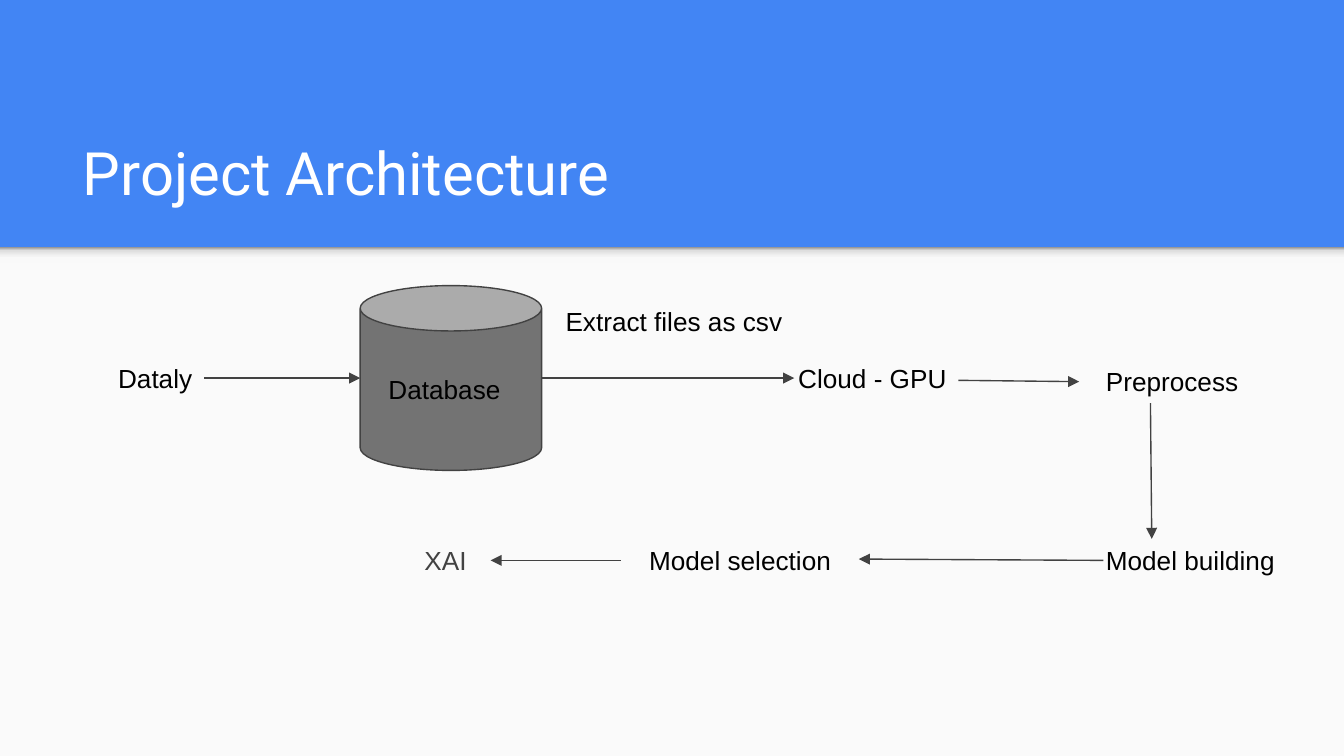
from lxml.etree import SubElement
from pptx import Presentation
from pptx.dml.color import RGBColor
from pptx.enum.shapes import MSO_CONNECTOR, MSO_SHAPE
from pptx.enum.text import MSO_ANCHOR, PP_ALIGN
from pptx.oxml.ns import qn
from pptx.util import Inches, Pt

COLS, ROWS = 100, 56.25
BLUE, PAPER, GREY, DARK = "4285F4", "FAFAFA", "737373", "424242"
BLACK, WHITE = "000000", "FFFFFF"
SHADE = [(0, "F9F9F9"), (36, "F9F9F9"), (80, "DEDEDE"), (100, "999999")]
FLOW_ROW, BUILD_ROW, LABEL_H = 25.93, 39.5, 4.4
INDENT = 2.1


def grid(n):
    """Turn grid columns or rows into a length."""
    return Inches(n / 10)


def rgb(value):
    """Turn a hex string into a colour."""
    return RGBColor.from_string(value)


def apply(obj, values):
    """Set each named attribute of an object."""
    for name, value in values.items():
        setattr(obj, name, value)


def write(sp, text, color=BLACK, size=14, font="Arial",
          anchor=MSO_ANCHOR.TOP, indent=1):
    """Put one formatted left-aligned paragraph in a shape."""
    tf = sp.text_frame
    apply(tf, {"word_wrap": True, "vertical_anchor": anchor,
               "margin_left": grid(indent), "margin_right": grid(1),
               "margin_top": grid(1), "margin_bottom": grid(1)})
    p = tf.paragraphs[0]
    p.alignment = PP_ALIGN.LEFT
    r = p.add_run()
    r.text = text
    apply(r.font, {"name": font, "size": Pt(size), "bold": False})
    r.font.color.rgb = rgb(color)


def shape(s, kind, box, fill, line=None):
    """Add a flat preset shape."""
    sp = s.shapes.add_shape(kind, *map(grid, box))
    sp.shadow.inherit = False
    sp.fill.solid()
    sp.fill.fore_color.rgb = rgb(fill)
    if line:
        sp.line.color.rgb = rgb(line)
        sp.line.width = Pt(0.75)
    else:
        sp.line.fill.background()
    return sp


def shade(sp, stops):
    """Fill a shape with a gradient that rises from the bottom."""
    sp.fill.gradient()
    sp.fill.gradient_angle = 90
    gs_list = sp._element.spPr.find(".//" + qn("a:gsLst"))
    for gs in list(gs_list):
        gs_list.remove(gs)
    for pos, color in stops:
        gs = SubElement(gs_list, qn("a:gs"), pos=str(pos * 1000))
        SubElement(gs, qn("a:srgbClr"), val=color)


def label(s, text, x, y, w, **style):
    """Add a one-line text label."""
    sp = s.shapes.add_textbox(*map(grid, (x, y, w, LABEL_H)))
    write(sp, text, **style)
    return sp


def arrow(s, x1, y1, x2, y2):
    """Add a thin arrow that points at its second end."""
    cx = s.shapes.add_connector(MSO_CONNECTOR.STRAIGHT,
                                *map(grid, (x1, y1, x2, y2)))
    cx.line.color.rgb = rgb(DARK)
    cx.line.width = Pt(0.75)
    SubElement(cx.line._get_or_add_ln(), qn("a:tailEnd"), type="triangle")
    SubElement(cx._element.spPr, qn("a:effectLst"))
    return cx


def header(s):
    """Draw the blue header, the page below it and the title."""
    s.background.fill.solid()
    s.background.fill.fore_color.rgb = rgb(BLUE)
    top = 18.4
    shape(s, MSO_SHAPE.RECTANGLE, (0, top, COLS, ROWS - top), PAPER)
    shade(shape(s, MSO_SHAPE.RECTANGLE, (0, top, COLS, 1.2), PAPER), SHADE)
    title = s.shapes.title
    apply(title, dict(zip(("left", "top", "width", "height"),
                          map(grid, (5.15, 8.05, 89.9, 8.4)))))
    write(title, "Project Architecture", color=WHITE, size=32,
          font="Roboto", anchor=MSO_ANCHOR.BOTTOM)


def pipeline(s):
    """Draw the steps and the arrows between them."""
    store = shape(s, MSO_SHAPE.CAN, (26.8, 21.25, 13.5, 13.75), GREY, DARK)
    store.adjustments[0] = 0.25
    write(store, "Database", anchor=MSO_ANCHOR.MIDDLE, indent=INDENT)

    label(s, "Dataly", 7.8, FLOW_ROW, 80.8)
    label(s, "Cloud - GPU", 58.4, FLOW_ROW, 56.2)
    label(s, "Extract files as csv", 41.1, 21.7, 66.7)
    label(s, "Preprocess", 81.3, 26.2, 14.5)
    label(s, "Model building", 81.3, BUILD_ROW, 15.7)
    selection = label(s, "Model selection", 46.2, BUILD_ROW, 20.6,
                      indent=INDENT)
    xai = label(s, "XAI", 30.6, BUILD_ROW, 5.9, color=DARK)

    middle = FLOW_ROW + LABEL_H / 2
    for ends in ((15.2, middle, 26.8, middle), (40.3, middle, 59.1, middle),
                 (71.3, 28.3, 80.3, 28.4), (85.6, 30, 85.7, 40.1),
                 (82.1, 41.7, 63.9, 41.6)):
        arrow(s, *ends)
    last = arrow(s, 46.2, 41.7, 36.5, 41.7)
    last.begin_connect(selection, 1)
    last.end_connect(xai, 3)


def main():
    """Build and save the slide."""
    prs = Presentation()
    apply(prs, {"slide_width": grid(COLS), "slide_height": grid(ROWS)})
    s = prs.slides.add_slide(prs.slide_layouts.get_by_name("Title Only"))
    header(s)
    pipeline(s)
    prs.save("out.pptx")


if __name__ == "__main__":
    main()
